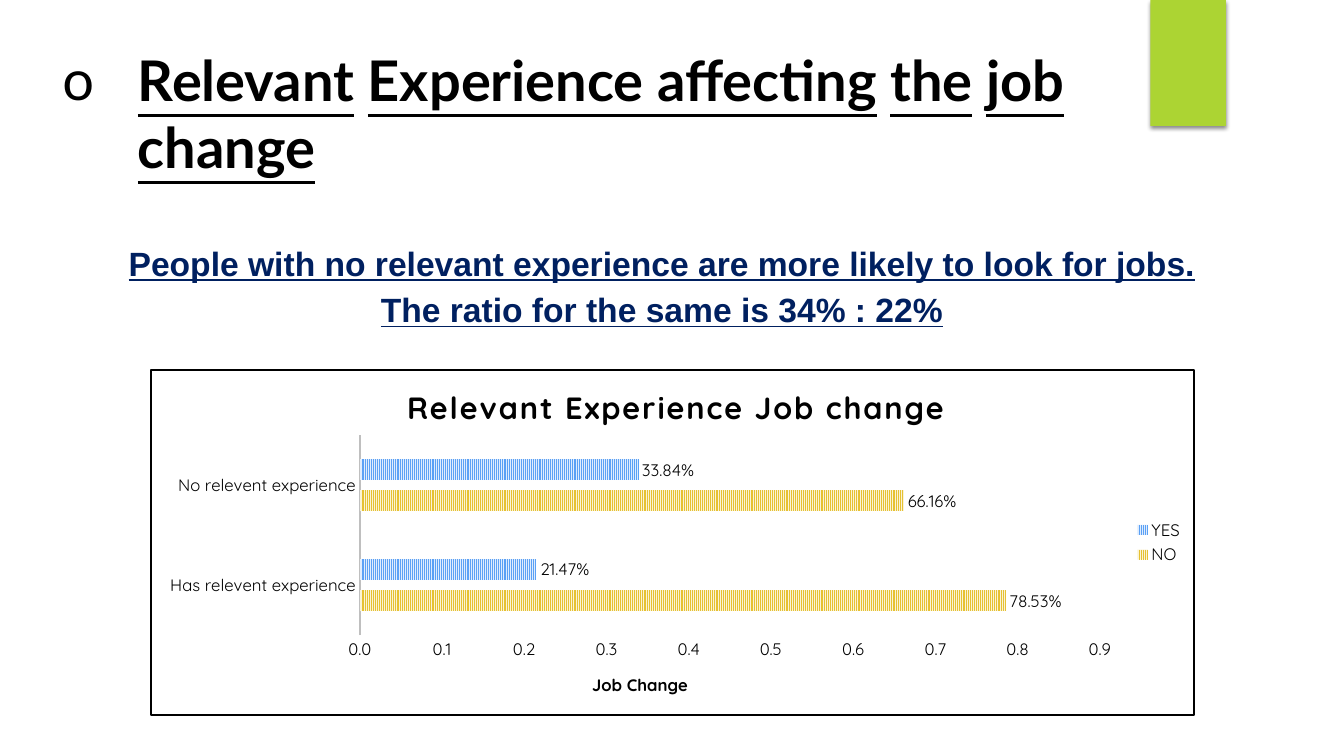
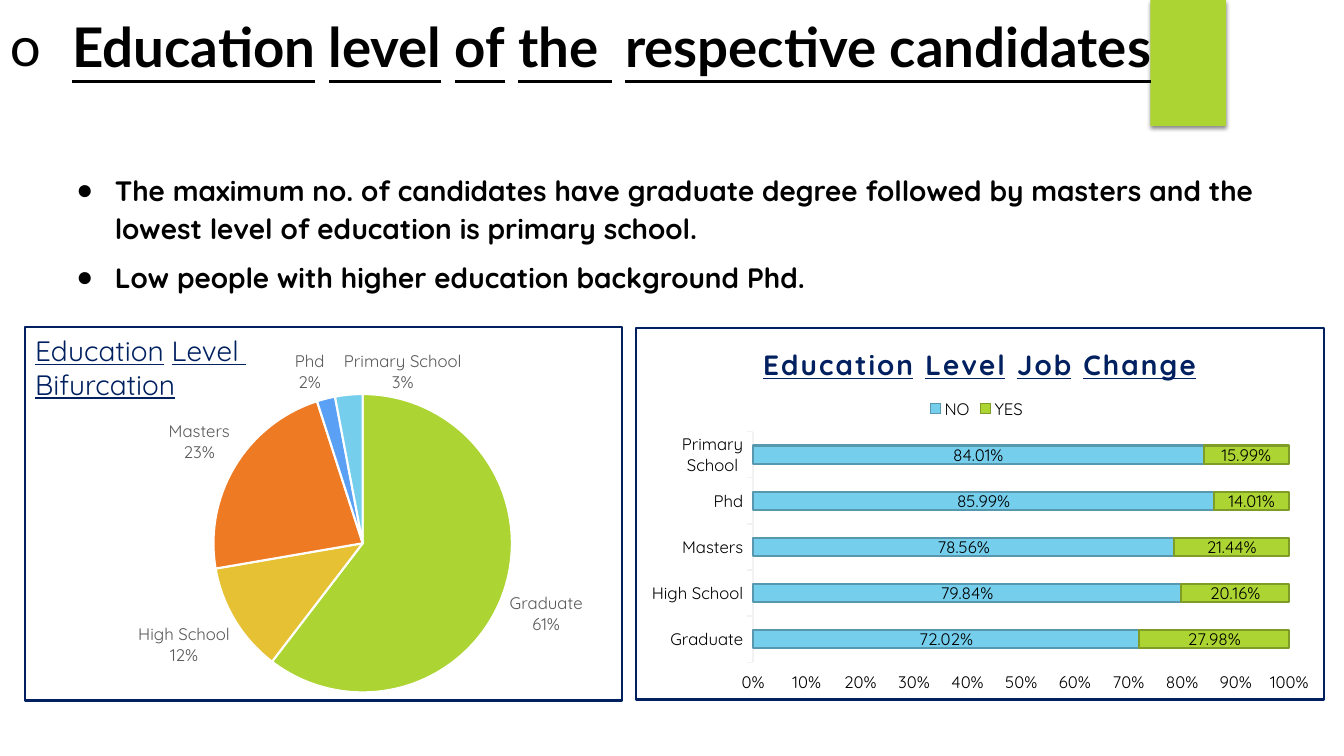
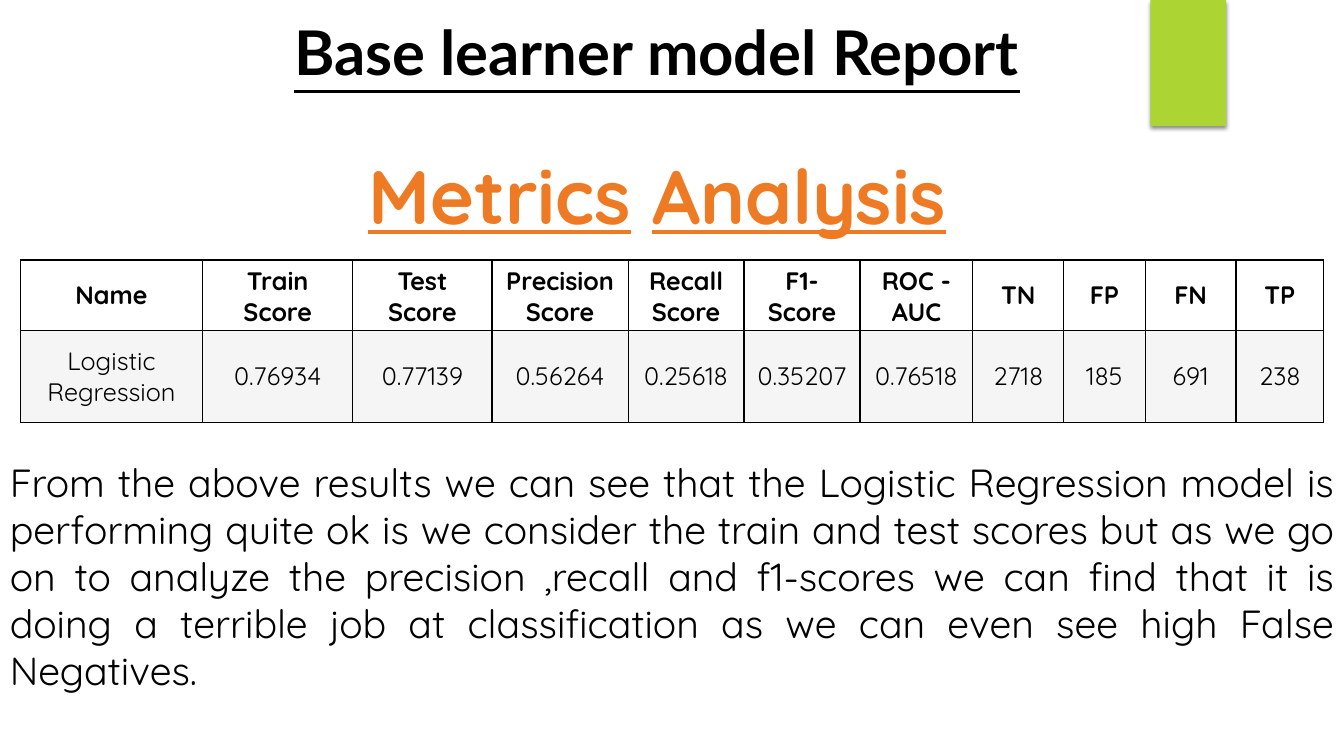
from copy import deepcopy

from lxml import etree
from pptx import Presentation
from pptx import util as u
from pptx.chart.data import CategoryChartData
from pptx.dml.color import RGBColor
from pptx.enum import chart as charts, dml, shapes, text
from pptx.oxml import parse_xml
from pptx.oxml.ns import nsdecls, qn

PX = 9144
BLACK, WHITE, NAVY = "000000", "FFFFFF", "002060"
GREEN, YELLOW, ORANGE, BLUE, SKY = "ACD433", "E6C133", "EF7A24", "5AA0F5", "75CEEC"
BODY, HEADING = "Quicksand", "Lato"
CENTER = text.PP_ALIGN.CENTER
rgb = RGBColor.from_string


def px(*values):
    return [u.Emu(value * PX) for value in values]


def write(frame, lines, size, font=BODY, color=BLACK, bold=False, underline=False,
          align=None, bullet=None, bullet_font=HEADING, indent=0, line_spacing=None,
          after=None, tracking=None):
    for index, phrases in enumerate(lines):
        paragraph = frame.add_paragraph() if index else frame.paragraphs[0]
        if bullet:
            properties = paragraph._p.get_or_add_pPr()
            properties.set("marL", str(indent * PX))
            properties.set("indent", str(-indent * PX))
            etree.SubElement(properties, qn("a:buFont")).set("typeface", bullet_font)
            etree.SubElement(properties, qn("a:buChar")).set("char", bullet)
        paragraph.alignment = align
        paragraph.line_spacing = line_spacing
        paragraph.space_after = after
        paragraph.font.size = u.Pt(size)
        paragraph.font.name = font
        paragraph.font.bold = bold
        paragraph.font.color.rgb = rgb(color)
        for position, phrase in enumerate(phrases):
            if position:
                paragraph.add_run().text = " "
            run = paragraph.add_run()
            run.text = phrase
            if underline:
                run.font.underline = True
        if tracking:
            for run in paragraph.runs:
                run._r.get_or_add_rPr().set("spc", str(tracking))


presentation = Presentation()
presentation.slide_width, presentation.slide_height = px(1333, 750)
blank = presentation.slide_layouts[6]
experience, education, report = [presentation.slides.add_slide(blank) for _ in range(3)]

band = experience.shapes.add_shape(shapes.MSO_SHAPE.RECTANGLE, *px(1141, 0, 75, 125))
band.fill.solid()
band.fill.fore_color.rgb = rgb(GREEN)
band.line.fill.background()
band.shadow.inherit = False
band.element.spPr.find(qn("a:effectLst")).append(parse_xml(
    f'<a:outerShdw {nsdecls("a")} blurRad="38100" dist="25400" dir="5400000" rotWithShape="0">'
    '<a:srgbClr val="000000"><a:alpha val="45000"/></a:srgbClr></a:outerShdw>'))
blank.shapes.element.append(band.element)

heading = dict(font=HEADING, bold=True, underline=True)
headings = [
    (experience, (52, 40, 1086, 145), ["Relevant", "Experience affecting", "the", "job", "change"],
     dict(size=40, bullet="o", indent=75)),
    (education, (0, 8, 1326, 145), ["Education", "level", "of", "the ", "respective candidates"],
     dict(size=39, bullet="o", indent=62)),
    (report, (169, 9, 965, 84), ["Base learner model Report"], dict(size=44, align=CENTER)),
]
for slide, box, phrases, style in headings:
    frame = slide.shapes.add_textbox(*px(*box)).text_frame
    frame.word_wrap = True
    write(frame, [phrases], **heading, **style)

finding = experience.shapes.add_textbox(*px(80, 230, 1153, 99))
finding.line.color.rgb = rgb(WHITE)
finding.line.width = u.Pt(0.75)
finding.text_frame.word_wrap = True
write(finding.text_frame,
      [["People with no relevant experience are more likely to look for jobs."],
       ["The ratio for the same is 34% : 22%"]],
      24, "Arial", NAVY, bold=True, underline=True, align=CENTER, line_spacing=1.15)

notes = education.shapes.add_textbox(*px(66, 162, 1201, 133))
notes.fill.solid()
notes.fill.fore_color.rgb = rgb(WHITE)
notes.line.color.rgb = rgb(WHITE)
notes.line.width = u.Pt(1.5)
notes.text_frame.word_wrap = True
write(notes.text_frame,
      [["The maximum no. of candidates have graduate degree followed by masters "
        "and the lowest level of education is primary school."],
       ["Low people with higher education background Phd."]],
      20, bold=True, bullet="●", bullet_font="Arial", indent=38, line_spacing=1.15, after=u.Pt(7))

levels = ["Graduate", "High School", "Masters", "Phd", "Primary School"]
TYPES = charts.XL_CHART_TYPE
chart_table = [
    (experience, TYPES.BAR_CLUSTERED, (149, 366, 1036, 344),
     ["Has relevent experience", "No relevent experience"],
     {"NO": (0.7853, 0.6616), "YES": (0.2147, 0.3384)}, BLACK),
    (education, TYPES.PIE, (117, 326, 592, 426), levels,
     {"Series 1": (61, 12, 23, 2, 3)}, None),
    (education, TYPES.BAR_STACKED_100, (630, 324, 684, 371), levels,
     {"NO": (0.7202, 0.7984, 0.7856, 0.8599, 0.8401),
      "YES": (0.2798, 0.2016, 0.2144, 0.1401, 0.1599)}, NAVY),
]
built = []
for slide, kind, box, categories, series_values, border in chart_table:
    data = CategoryChartData()
    data.categories = categories
    for name, values in series_values.items():
        data.add_series(name, values)
    chart = slide.shapes.add_chart(kind, *px(*box), data).chart
    chart.font.size = u.Pt(12)
    chart.font.name = BODY
    chart.font.color.rgb = rgb(BLACK)
    chart.has_title = chart.has_legend = border is not None
    fill, line = [f'<a:solidFill><a:srgbClr val="{color}"/></a:solidFill>' if border else "<a:noFill/>"
                  for color in (WHITE, border)]
    chart.element.find(qn("c:chart")).addnext(parse_xml(
        f'<c:spPr {nsdecls("c", "a")}>{fill}<a:ln w="19050">{line}</a:ln></c:spPr>'))
    plot = chart.plots[0]
    plot.vary_by_categories = border is None
    for series in plot.series:
        labels = series.data_labels
        labels.show_value = True
        labels.number_format = "0.00%"
        labels.number_format_is_linked = False
        labels.font.size = u.Pt(12)
        labels.font.name = BODY
        labels.font.color.rgb = rgb(BLACK)
        labels.position = (charts.XL_LABEL_POSITION.CENTER if kind == TYPES.BAR_STACKED_100
                           else charts.XL_LABEL_POSITION.OUTSIDE_END)
    if border:
        chart.legend.include_in_layout = False
        chart.value_axis.has_major_gridlines = False
        chart.value_axis.format.line.fill.background()
        chart.value_axis.tick_labels.number_format_is_linked = False
    built.append(chart)
experience_bars, level_pie, level_bars = built

write(experience_bars.chart_title.text_frame, [["Relevant Experience Job change"]],
      22, bold=True, tracking=150)
experience_bars.legend.position = charts.XL_LEGEND_POSITION.RIGHT
plot = experience_bars.plots[0]
plot.gap_width, plot.overlap = 227, -48
for series, front, back in zip(plot.series, (YELLOW, BLUE), ("FAF3D6", "DEECFD")):
    series.format.fill.patterned()
    series.format.fill.pattern = dml.MSO_PATTERN.NARROW_VERTICAL
    series.format.fill.fore_color.rgb = rgb(front)
    series.format.fill.back_color.rgb = rgb(back)
for axis in (experience_bars.category_axis, experience_bars.value_axis):
    axis.major_tick_mark = charts.XL_TICK_MARK.NONE
experience_bars.category_axis.format.line.color.rgb = rgb("BFBFBF")
experience_bars.category_axis.format.line.width = u.Pt(1.5)
axis = experience_bars.value_axis
axis.minimum_scale, axis.maximum_scale, axis.major_unit = 0, 0.9, 0.1
axis.tick_labels.number_format = "#,##0.0"
write(axis.axis_title.text_frame, [["Job Change"]], 12, bold=True)

pie_series = level_pie.plots[0].series[0]
for index, color in enumerate((GREEN, YELLOW, ORANGE, BLUE, SKY)):
    wedge = pie_series.points[index].format
    wedge.fill.solid()
    wedge.fill.fore_color.rgb = rgb(color)
    wedge.line.color.rgb = rgb(WHITE)
    wedge.line.width = u.Pt(1.5)
labels = pie_series.data_labels
labels.show_category_name = True
labels.show_percentage = False
labels.number_format = '0"%"'
labels.font.color.rgb = rgb("595959")
pie_labels = level_pie.element.xpath(".//c:ser/c:dLbls")[0]
for leader in pie_labels.findall(qn("c:showLeaderLines")):
    pie_labels.remove(leader)
pie_labels.find(qn("c:showBubbleSize")).addnext(
    parse_xml(f'<c:separator {nsdecls("c")}>\n</c:separator>'))
primary_label = parse_xml(
    f'<c:dLbl {nsdecls("c")}><c:idx val="4"/><c:layout><c:manualLayout>'
    '<c:x val="0.19"/><c:y val="0.01"/></c:manualLayout></c:layout></c:dLbl>')
primary_label.extend([deepcopy(setting) for setting in pie_labels])
pie_labels.insert(0, primary_label)
etree.SubElement(pie_labels, qn("c:showLeaderLines")).set("val", "0")

write(level_bars.chart_title.text_frame, [["Education", "Level", "Job", "Change"]],
      20, color=NAVY, bold=True, underline=True, tracking=140)
level_bars.legend.position = charts.XL_LEGEND_POSITION.TOP
plot = level_bars.plots[0]
plot.gap_width, plot.overlap = 150, 100
for series, color, edge in zip(plot.series, (SKY, GREEN), ("5798AF", "7F9D26")):
    series.format.fill.solid()
    series.format.fill.fore_color.rgb = rgb(color)
    series.format.line.color.rgb = rgb(edge)
    series.format.line.width = u.Pt(1.5)
level_bars.category_axis.format.line.color.rgb = rgb("F2F2F2")
level_bars.category_axis.format.line.width = u.Pt(1)
level_bars.value_axis.tick_labels.number_format = "0%"

placements = [
    (experience_bars, "c:chart/c:title", dict(x=0.24, y=0.03)),
    (experience_bars, "c:chart/c:plotArea", dict(x=0.2, y=0.19, w=0.71, h=0.58)),
    (experience_bars, ".//c:valAx/c:title", dict(x=0.42, y=0.87)),
    (level_pie, "c:chart/c:plotArea", dict(x=0.16, y=0.09, w=0.5, h=0.82)),
    (level_bars, "c:chart/c:title", dict(x=0.18, y=0.04)),
    (level_bars, "c:chart/c:legend", dict(x=0.42, y=0.18)),
    (level_bars, "c:chart/c:plotArea", dict(x=0.17, y=0.28, w=0.78, h=0.62)),
]
for chart, part, place in placements:
    parent = chart.element.xpath(part)[0]
    for old in parent.findall(qn("c:layout")):
        parent.remove(old)
    inner = '<c:layoutTarget val="inner"/>' if "w" in place else ""
    modes = '<c:xMode val="edge"/><c:yMode val="edge"/>'
    sizes = "".join(f'<c:{key} val="{value}"/>' for key, value in place.items())
    layout = parse_xml(f'<c:layout {nsdecls("c")}><c:manualLayout>{inner}{modes}{sizes}'
                       '</c:manualLayout></c:layout>')
    overlay = parent.find(qn("c:overlay"))
    if overlay is None:
        parent.insert(0, layout)
    else:
        overlay.addprevious(layout)

pie_title = education.shapes.add_textbox(*px(25, 326, 246, 77))
pie_title.fill.solid()
pie_title.fill.fore_color.rgb = rgb(WHITE)
pie_title.text_frame.word_wrap = True
write(pie_title.text_frame, [["Education", "Level "], ["Bifurcation"]], 20, color=NAVY, underline=True)

pie_border = education.shapes.add_shape(shapes.MSO_SHAPE.RECTANGLE, *px(25, 324, 592, 371))
pie_border.fill.background()
pie_border.line.color.rgb = rgb(NAVY)
pie_border.line.width = u.Pt(1.5)
pie_border.shadow.inherit = False

columns = [
    ("Name", "Logistic Regression", 181), ("Train Score", "0.76934", 149),
    ("Test Score", "0.77139", 138), ("Precision Score", "0.56264", 135),
    ("Recall Score", "0.25618", 115), ("F1-Score", "0.35207", 115),
    ("ROC - AUC", "0.76518", 112), ("TN", "2718", 90), ("FP", "185", 81),
    ("FN", "691", 90), ("TP", "238", 87),
]
table = report.shapes.add_table(2, len(columns), *px(20, 258, 1293, 161)).table
table.first_row = table.horz_banding = False
table.rows[0].height, table.rows[1].height = px(70, 91)
for index, (*entries, width) in enumerate(columns):
    table.columns[index].width = px(width)[0]
    for row, entry in enumerate(entries):
        cell = table.cell(row, index)
        cell.vertical_anchor = text.MSO_ANCHOR.MIDDLE
        write(cell.text_frame, [[entry]], 18, bold=row == 0, align=CENTER)
        properties = cell._tc.get_or_add_tcPr()
        for side in ("lnL", "lnR", "lnT", "lnB"):
            properties.append(parse_xml(
                f'<a:{side} {nsdecls("a")} w="12700"><a:solidFill><a:srgbClr val="{BLACK}"/>'
                f'</a:solidFill></a:{side}>'))
        cell.fill.solid()
        cell.fill.fore_color.rgb = rgb("F5F5F5" if row else WHITE)

metrics = report.shapes.add_textbox(*px(350, 143, 604, 101))
write(metrics.text_frame, [["Metrics", "Analysis"]], 54, color=ORANGE, bold=True,
      underline=True, align=CENTER)

conclusion = report.shapes.add_textbox(*px(0, 450, 1333, 246))
conclusion.text_frame.word_wrap = True
write(conclusion.text_frame,
      [["From the above results we can see that the Logistic Regression model is performing "
        "quite ok is we consider the train and test scores but as we go on to analyze the "
        "precision ,recall and f1-scores we can find that it is doing a terrible job at "
        "classification as we can even see high False Negatives."]],
      28, align=text.PP_ALIGN.JUSTIFY)

presentation.save("out.pptx")
